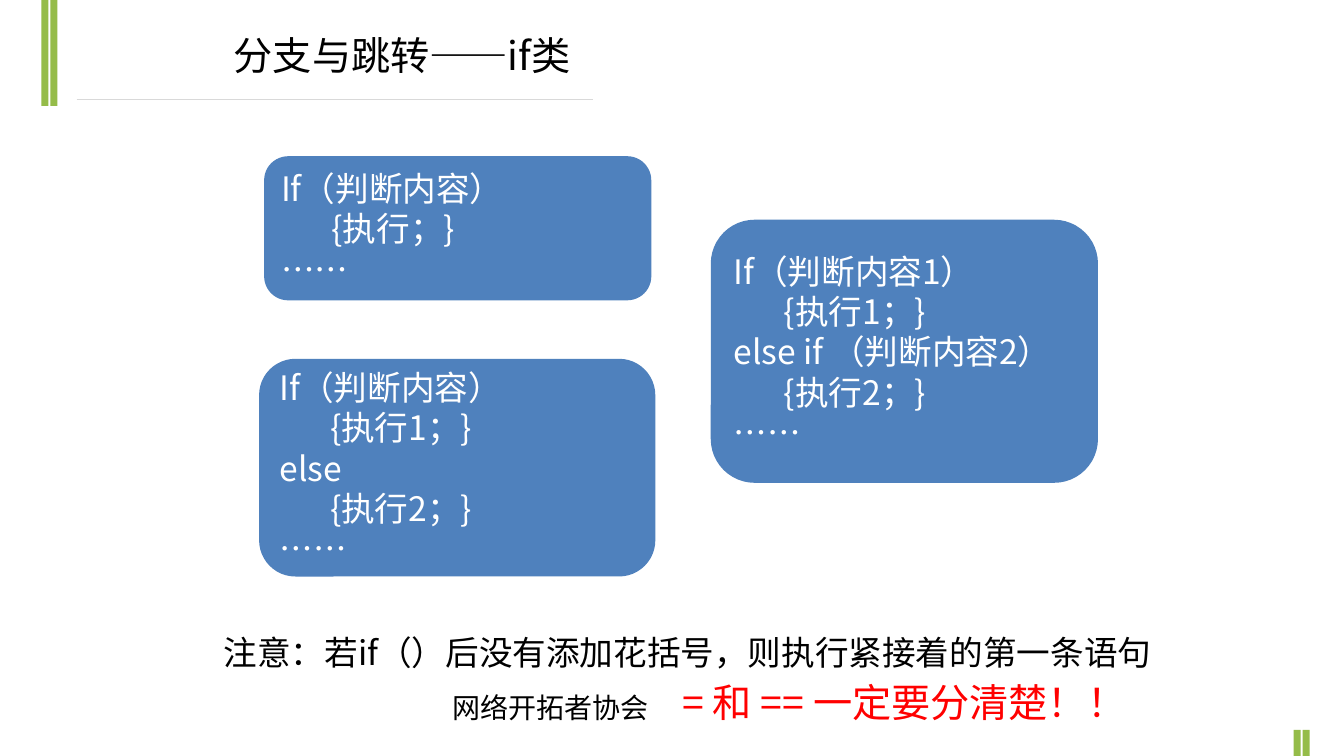
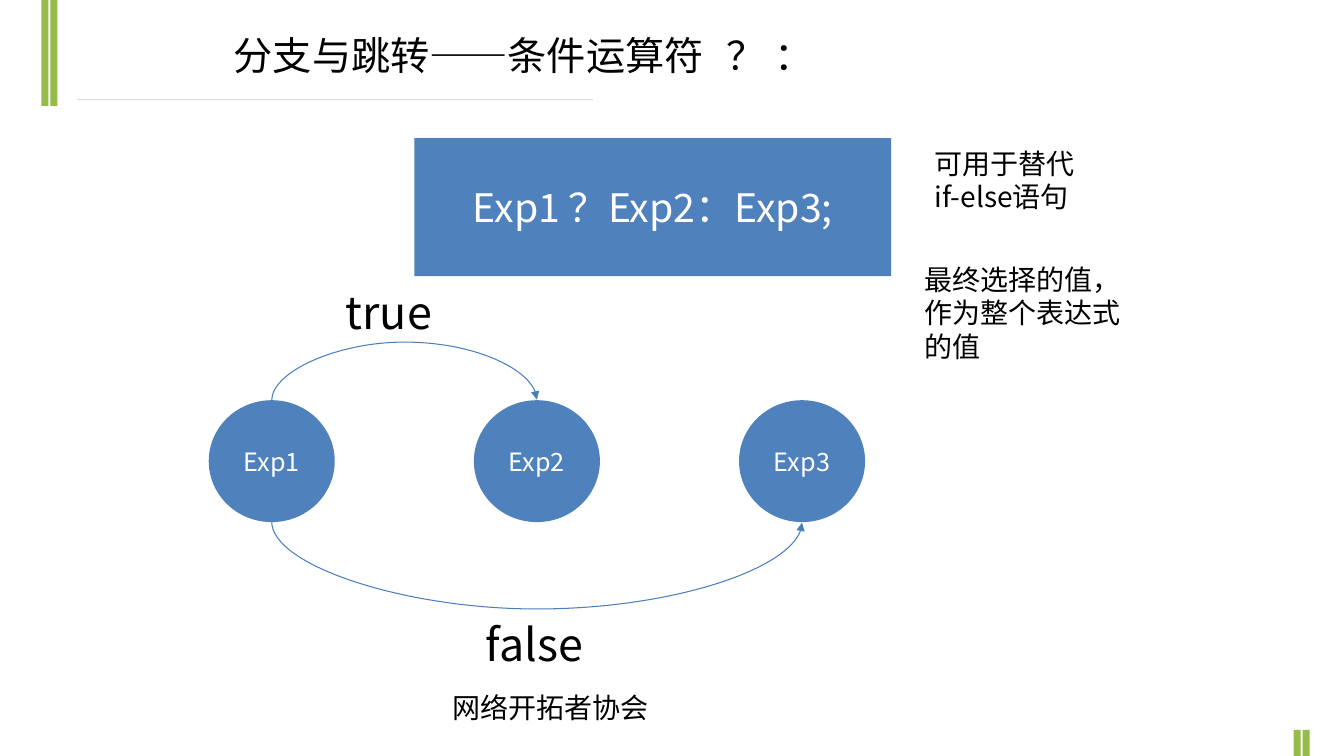
from dataclasses import dataclass

from lxml.etree import SubElement
from pptx import Presentation
from pptx.dml.color import RGBColor as RGB
from pptx.enum.shapes import MSO_CONNECTOR as LINK, MSO_SHAPE as SHAPE
from pptx.enum.text import MSO_ANCHOR as ANCHOR, PP_ALIGN as ALIGN
from pptx.oxml.ns import qn
from pptx.util import Inches, Pt


@dataclass(frozen=True)
class Theme:
    font: str = "Noto Sans CJK SC"
    green: RGB = RGB(0x95, 0xBC, 0x49)
    blue: RGB = RGB(0x4F, 0x81, 0xBD)
    arrow: RGB = RGB(0x4B, 0x7E, 0xBC)
    rule: RGB = RGB(0xD9, 0xD9, 0xD9)
    ink: RGB = RGB(0, 0, 0)
    paper: RGB = RGB(0xFF, 0xFF, 0xFF)
    warning: RGB = RGB(0xFF, 0, 0)
    label: int = 18
    note: int = 20
    body: int = 24
    title: int = 28
    branch: int = 32
    leading: float = 1.2
    hairline: float = 0.75


THEME = Theme()
FOOTER = "网络开拓者协会"


def apply(target, formats):
    for name, value in formats.items():
        setattr(target, name, value)


def write(frame, lines, size, color, align=ALIGN.LEFT, anchor=ANCHOR.TOP, tab=None):
    apply(frame, {"word_wrap": True, "vertical_anchor": anchor})
    for index, line in enumerate(lines):
        paragraph = frame.paragraphs[0] if index == 0 else frame.add_paragraph()
        if tab:
            stops = SubElement(paragraph._p.get_or_add_pPr(), qn("a:tabLst"))
            SubElement(stops, qn("a:tab"), pos=str(Inches(tab)), algn="l")
        apply(paragraph, {"alignment": align,
                          "line_spacing": Pt(size * THEME.leading)})
        run = paragraph.add_run()
        run.text = line
        apply(run.font, {"size": Pt(size), "name": THEME.font})
        run.font.color.rgb = color
        SubElement(run._r.get_or_add_rPr(), qn("a:ea"), typeface=THEME.font)


def add_text(slide, box, text, size, color=THEME.ink, tab=None):
    frame = slide.shapes.add_textbox(*map(Inches, box)).text_frame
    write(frame, [text], size, color, tab=tab)


def add_block(slide, kind, box, color, lines=(), size=THEME.body, align=ALIGN.CENTER):
    block = slide.shapes.add_shape(kind, *map(Inches, box))
    block.shadow.inherit = False
    block.fill.solid()
    block.fill.fore_color.rgb = color
    block.line.fill.background()
    write(block.text_frame, lines, size, THEME.paper, align, ANCHOR.MIDDLE)
    return block


def add_line(slide, kind, start, end, color):
    line = slide.shapes.add_connector(kind, *map(Inches, (*start, *end)))
    line.line.color.rgb = color
    line.line.width = Pt(THEME.hairline)
    SubElement(line._element.spPr, qn("a:effectLst"))
    return line


def add_arc(slide, source, target, depth, above):
    y = source.top if above else source.top + source.height
    first, last = (node.left + node.width // 2 for node in (source, target))
    drop, span = Inches(0.01), last - first
    arc = add_line(slide, LINK.CURVE, (0, 0), (1, 1), THEME.arrow)
    apply(arc, {"left": (first + last - drop) // 2, "top": y - span // 2,
                "width": drop, "height": span})
    properties = arc._element.spPr
    turn = {"rot": "5400000", "flipH": "1", "flipV": "1"} if above else {
        "rot": "16200000", "flipH": "1", "flipV": "0"}
    for name, value in turn.items():
        properties.find(qn("a:xfrm")).set(name, value)
    bend = round(Inches(depth) / drop * 100000)
    guides = properties.find(qn("a:prstGeom")).find(qn("a:avLst"))
    SubElement(guides, qn("a:gd"), name="adj1", fmla=f"val {bend}")
    SubElement(properties.find(qn("a:ln")), qn("a:tailEnd"), type="triangle")


def add_page(deck, title, tab=None):
    slide = deck.slides.add_slide(deck.slide_layouts[6])
    add_text(slide, (4.39, 6.8, 3.82, 0.44), FOOTER, THEME.note)
    for left, top, height in ((0.41, 0, 1.05), (12.83, 7.24, 0.26)):
        for offset in (0, 0.09):
            add_block(slide, SHAPE.RECTANGLE, (left + offset, top, 0.07, height),
                      THEME.green)
    add_line(slide, LINK.STRAIGHT, (0.76, 0.99), (5.88, 0.99), THEME.rule)
    add_text(slide, (2.22, 0.26, 8.9, 0.74), title, THEME.title, tab=tab)
    return slide


def build_if_page(deck):
    slide = add_page(deck, "分支与跳转——if类")
    snippets = (
        ((2.62, 1.55, 3.84, 1.43), ("If（判断内容）", "\t{执行；}", "……")),
        ((2.57, 3.56, 3.93, 2.16),
         ("If（判断内容）", "\t{执行1；}", "else", "\t{执行2；}", "……")),
        ((7.05, 2.18, 3.84, 2.61),
         ("If（判断内容1）", "\t{执行1；}", "else if （判断内容2）", "\t{执行2；}", "……")),
    )
    for box, lines in snippets:
        add_block(slide, SHAPE.ROUNDED_RECTANGLE, box, THEME.blue, lines,
                  align=ALIGN.LEFT)
    add_text(slide, (2.12, 6.22, 9.86, 0.5),
             "注意：若if（）后没有添加花括号，则执行紧接着的第一条语句", THEME.body)
    add_text(slide, (6.67, 6.68, 6.32, 0.57), "= 和 == 一定要分清楚！！",
             THEME.title, THEME.warning)


def build_conditional_page(deck):
    slide = add_page(deck, "分支与跳转——条件运算符\t？ ：", tab=4.89)
    add_block(slide, SHAPE.RECTANGLE, (4.11, 1.37, 4.73, 1.37), THEME.blue,
              ["Exp1 ？Exp2：Exp3;"], THEME.title)
    condition, when_true, when_false = (
        add_block(slide, SHAPE.OVAL, (2.07 + 2.63 * index, 3.97, 1.25, 1.21),
                  THEME.blue, [f"Exp{index + 1}"], THEME.label)
        for index in range(3))
    add_arc(slide, condition, when_true, 0.59, above=True)
    add_arc(slide, condition, when_false, 0.88, above=False)
    for box, text, size in (
            ((3.33, 2.78, 1.3, 0.64), "true", THEME.branch),
            ((4.72, 6.07, 1.27, 0.64), "false", THEME.branch),
            ((9.17, 1.4, 1.6, 0.77), "可用于替代if-else语句", THEME.note),
            ((9.07, 2.55, 2.15, 1.11), "最终选择的值，作为整个表达式的值", THEME.note)):
        add_text(slide, box, text, size)


def main():
    deck = Presentation()
    apply(deck, {"slide_width": Inches(13.33), "slide_height": Inches(7.5)})
    build_if_page(deck)
    build_conditional_page(deck)
    deck.save("out.pptx")


if __name__ == "__main__":
    main()
